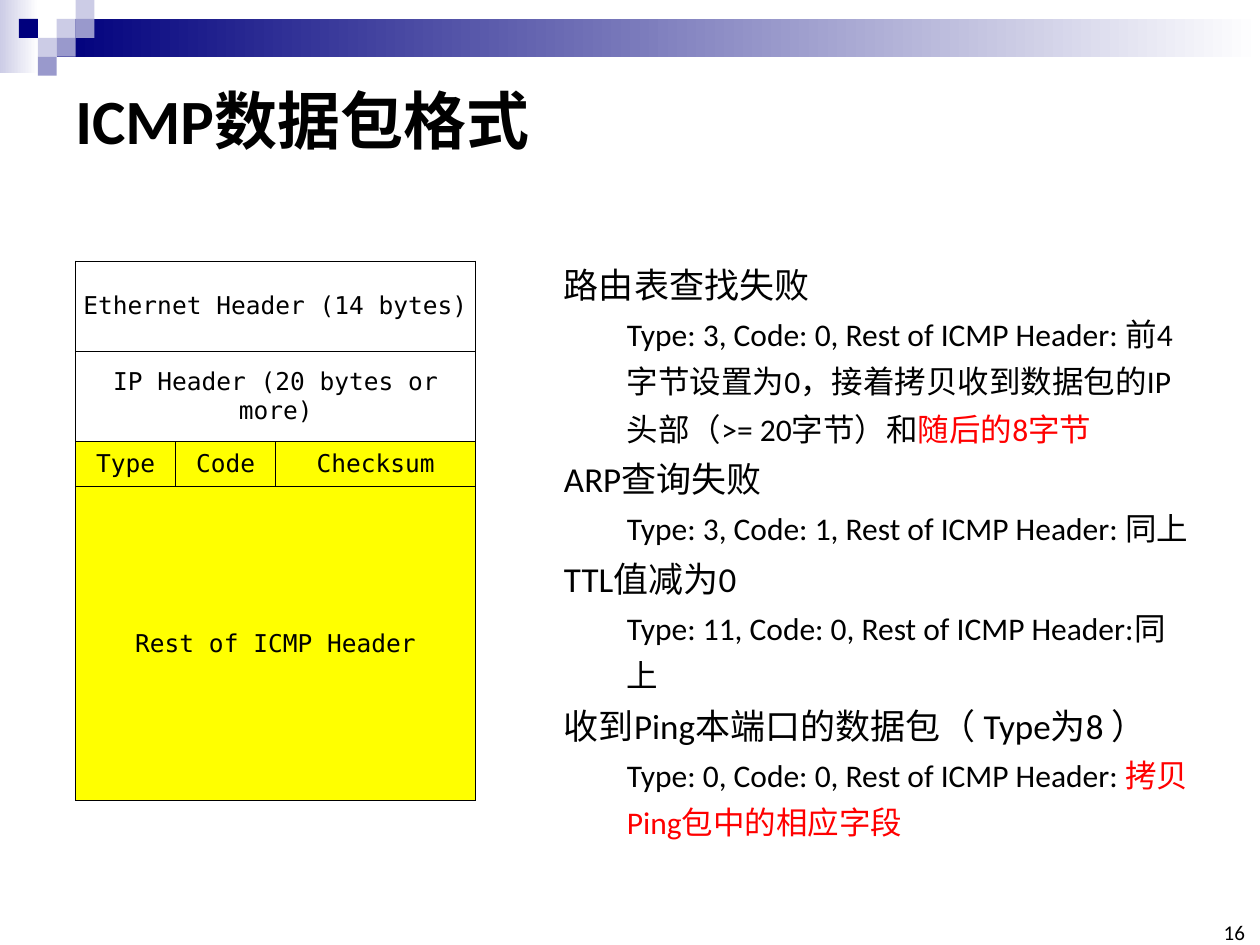
from dataclasses import dataclass

from lxml import etree
from pptx import Presentation
from pptx.dml.color import RGBColor
from pptx.enum.shapes import MSO_SHAPE
from pptx.enum.text import MSO_ANCHOR, MSO_AUTO_SIZE, PP_ALIGN
from pptx.oxml.ns import qn
from pptx.util import Pt

RECT = MSO_SHAPE.RECTANGLE
TOP, MIDDLE, BOTTOM = MSO_ANCHOR.TOP, MSO_ANCHOR.MIDDLE, MSO_ANCHOR.BOTTOM
LEFT, CENTER, RIGHT = PP_ALIGN.LEFT, PP_ALIGN.CENTER, PP_ALIGN.RIGHT
GROW = MSO_AUTO_SIZE.SHAPE_TO_FIT_TEXT


@dataclass(frozen=True)
class Theme:
    black: str = "000000"
    white: str = "FFFFFF"
    navy: str = "00007D"
    violet: str = "9999CC"
    pale: str = "CCCCE6"
    yellow: str = "FFFF00"
    red: str = "FF0000"
    font: str = "Calibri"
    mono: str = "DejaVu Sans Mono"
    title: int = 36
    topic: int = 20
    detail: int = 18
    packet: int = 14
    number: int = 12
    border: float = 0.5
    indent: int = 36
    spacing: float = 1.25


class SlideBuilder:
    def __init__(self, slide, theme):
        self.s = slide
        self.t = theme

    def style(self, r, size, color=None, font=None, bold=False):
        r.font.size = Pt(size)
        r.font.name = font or self.t.font
        r.font.bold = bold
        r.font.color.rgb = RGBColor.from_string(color or self.t.black)

    def rect(self, x, y, w, h, color, fade_to=None):
        sp = self.s.shapes.add_shape(RECT, Pt(x), Pt(y), Pt(w), Pt(h))
        sp.shadow.inherit = False
        sp.line.fill.background()
        if fade_to:
            sp.fill.gradient()
            sp.fill.gradient_angle = 0
            for stop, c in zip(sp.fill.gradient_stops, (color, fade_to)):
                stop.color.rgb = RGBColor.from_string(c)
        else:
            sp.fill.solid()
            sp.fill.fore_color.rgb = RGBColor.from_string(color)

    def box(self, x, y, w, h, anchor=TOP):
        tf = self.s.shapes.add_textbox(Pt(x), Pt(y), Pt(w), Pt(h)).text_frame
        tf.word_wrap = True
        tf.vertical_anchor = anchor
        return tf

    def label(self, x, y, w, h, text, size, anchor, align=LEFT, bold=False, inset=None):
        tf = self.box(x, y, w, h, anchor)
        if inset is not None:
            tf.margin_left = tf.margin_right = Pt(inset)
            tf.margin_top = tf.margin_bottom = Pt(inset)
        p = tf.paragraphs[0]
        p.text = text
        p.alignment = align
        self.style(p.runs[0], size, bold=bold)

    def paragraph(self, p, runs, size, indent=0):
        p.line_spacing = self.t.spacing
        if indent:
            p.level = 1
            pPr = p._p.get_or_add_pPr()
            pPr.set("marL", str(Pt(indent)))
            pPr.set("indent", "0")
        for text, color in runs:
            r = p.add_run()
            r.text = text
            self.style(r, size, color)

    def outline(self, x, y, w, h, topics):
        tf = self.box(x, y, w, h)
        tf.auto_size = GROW
        p = tf.paragraphs[0]
        for i, (topic, detail, accent) in enumerate(topics):
            if i:
                p = tf.add_paragraph()
            self.paragraph(p, [(topic, self.t.black)], self.t.topic)
            runs = [(detail, self.t.black)]
            if accent:
                runs.append((accent, self.t.red))
            self.paragraph(tf.add_paragraph(), runs, self.t.detail, self.t.indent)

    def cell(self, cell, text, fill):
        cell.margin_left = cell.margin_right = Pt(0)
        cell.margin_top = cell.margin_bottom = Pt(0)
        cell.vertical_anchor = MIDDLE
        if text:
            p = cell.text_frame.paragraphs[0]
            p.text = text
            p.alignment = CENTER
            self.style(p.runs[0], self.t.packet, font=self.t.mono)
        tcPr = cell._tc.get_or_add_tcPr()
        for side in ("a:lnL", "a:lnR", "a:lnT", "a:lnB"):
            ln = etree.SubElement(tcPr, qn(side), w=str(Pt(self.t.border)))
            solid = etree.SubElement(ln, qn("a:solidFill"))
            etree.SubElement(solid, qn("a:srgbClr"), val=self.t.black)
        cell.fill.solid()
        cell.fill.fore_color.rgb = RGBColor.from_string(fill)

    def table(self, x, y, widths, rows):
        w, h = sum(widths), sum(row[0] for row in rows)
        table = self.s.shapes.add_table(
            len(rows), len(widths), Pt(x), Pt(y), Pt(w), Pt(h)).table
        for column, width in zip(table.columns, widths):
            column.width = Pt(width)
        last = len(widths) - 1
        for i, (height, fill, texts) in enumerate(rows):
            table.rows[i].height = Pt(height)
            if len(texts) == 1:
                table.cell(i, 0).merge(table.cell(i, last))
            for j in range(len(widths)):
                text = texts[j] if j < len(texts) else ""
                self.cell(table.cell(i, j), text, fill)


def main():
    prs = Presentation()
    prs.slide_width, prs.slide_height = Pt(720), Pt(540)
    t = Theme()
    s = SlideBuilder(prs.slides.add_slide(prs.slide_layouts[6]), t)

    unit = 10.8
    s.rect(0, 0, 22, 42, t.pale, t.white)
    s.rect(3 * unit, unit, 720 - 3 * unit, 2 * unit, t.navy, t.white)
    squares = [(3, 1, t.pale), (4, 0, t.pale), (4, 1, t.violet), (2, 2, t.pale),
               (1, 1, t.navy), (3, 2, t.violet), (2, 3, t.violet)]
    for col, row, color in squares:
        s.rect(col * unit, row * unit, unit, unit, color)

    s.label(36, 36, 648, 64, "ICMP数据包格式", t.title, MIDDLE, bold=True)

    s.table(43.2, 149.2, [57.2, 57.2, 114.4], [
        (51.6, t.white, ["Ethernet Header (14 bytes)"]),
        (51.6, t.white, ["IP Header (20 bytes or more)"]),
        (25.6, t.yellow, ["Type", "Code", "Checksum"]),
        (179.6, t.yellow, ["Rest of ICMP Header"]),
    ])

    rest = "Rest of ICMP Header:"
    s.outline(315.2, 141.2, 376, 344, [
        ("路由表查找失败",
         f"Type: 3, Code: 0, {rest} 前4字节设置为0，接着拷贝收到数据包的IP头部（>= 20字节）和",
         "随后的8字节"),
        ("ARP查询失败", f"Type: 3, Code: 1, {rest} 同上", ""),
        ("TTL值减为0", f"Type: 11, Code: 0, {rest}同上", ""),
        ("收到Ping本端口的数据包（ Type为8 ）",
         f"Type: 0, Code: 0, {rest} ", "拷贝Ping包中的相应字段"),
    ])

    s.label(695, 528, 16.4, 12, "16", t.number, BOTTOM, RIGHT, inset=0)
    prs.save("out.pptx")


if __name__ == "__main__":
    main()
